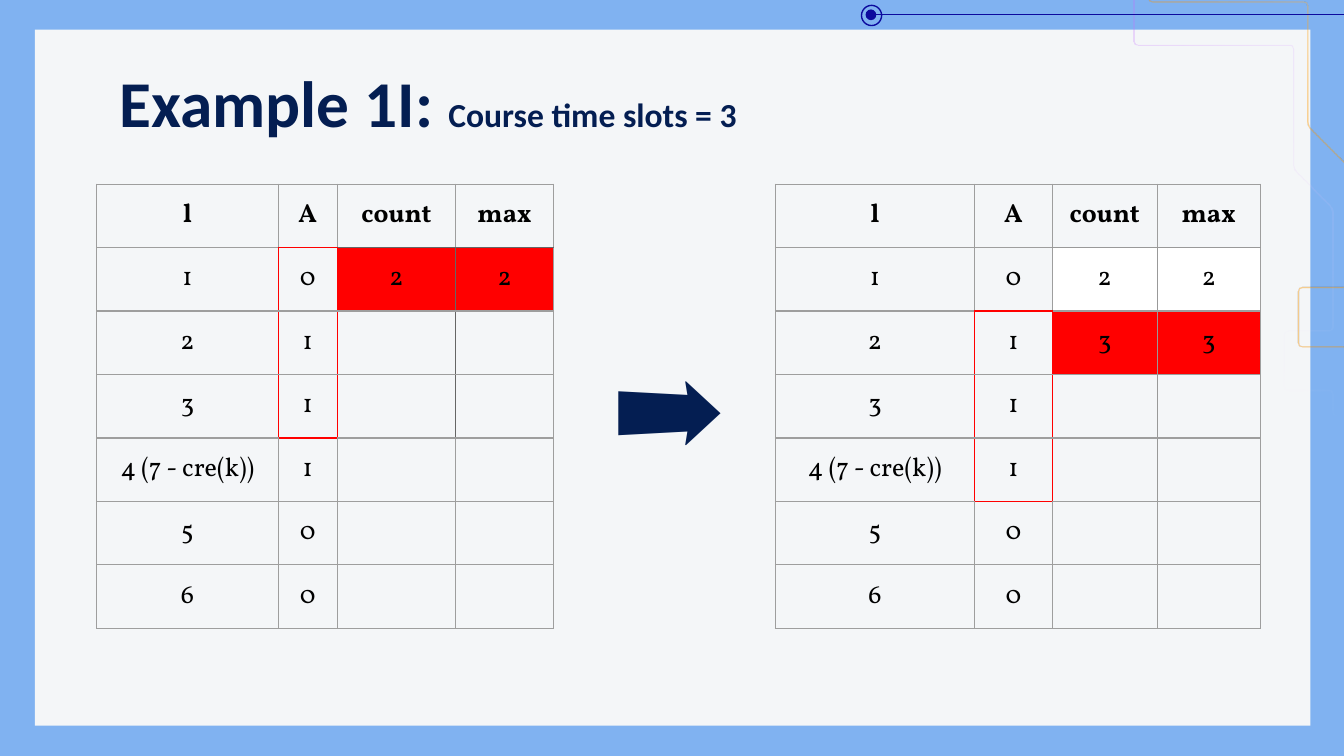
"""Build the slide that compares two steps of the course time slot example."""
import math

import lxml.etree
import pptx
import pptx.dml.color
import pptx.enum.shapes
import pptx.enum.text
import pptx.oxml
import pptx.oxml.ns
import pptx.util

Inches = pptx.util.Inches
Pt = pptx.util.Pt

THEME = {
    "background": "80B2F1", "panel": "F4F6F8", "navy": "041E52", "circuit": "0C0A9E",
    "black": "000000", "red": "FF0000", "white": "FFFFFF", "grid": "9E9E9E",
    "title_font": "Calibri", "table_font": "Vollkorn", "arrow_font": "Arial",
    "title_size": 35, "subtitle_size": 18, "table_size": 14, "arrow_size": 58,
    "line_width": 0.75,
}
TITLE = [("Example 1I: ", THEME["title_size"]), ("Course time slots = 3", THEME["subtitle_size"])]
HEADER = ("l", "A", "count", "max")
SLOTS = (("1", "0"), ("2", "1"), ("3", "1"), ("4 (7 - cre(k))", "1"), ("5", "0"), ("6", "0"))
STEPS = [
    {"left": 0.72, "columns": (1.35, 0.44, 0.88, 0.73), "window": (1, 3), "divider": "666666",
     "results": [("2", "2")], "fills": {1: THEME["red"]}},
    {"left": 5.77, "columns": (1.48, 0.58, 0.78, 0.77), "window": (2, 4), "divider": "999999",
     "results": [("2", "2"), ("3", "3")], "fills": {1: THEME["white"], 2: THEME["red"]}},
]
TABLE_TOP, ROW_HEIGHT, INSET = 1.37, 0.42, 0.1
TRACE = [(8.44, 0), (8.44, 0.34), (9.62, 0.34), (9.62, 1.26), (9.91, 1.55), (9.91, 2.46),
         (9.55, 2.46), (9.55, 2.9), (9.91, 2.9), (9.91, 3.09), (10.1, 3.09), (10.1, 3.16)]
TRACE_WIDTH, CORNER = 0.01, 0.03
TRACES = [
    {"offset": (0, 0), "angle": 45, "stops": [(0, "C46DFF", 27), (100, "FFFFFF", 0)]},
    {"offset": (0.11, -0.32), "angle": 315,
     "stops": [(0, "EB9109", 47), (65, "FF9900", 41), (100, "FFBD59", 27)]},
]


def color(name):
    return pptx.dml.color.RGBColor.from_string(name)


def add_shape(slide, kind, box, fill=None, line=None):
    shape = slide.shapes.add_shape(kind, *map(Inches, box))
    shape.shadow.inherit = False
    if fill:
        shape.fill.solid()
        shape.fill.fore_color.rgb = color(fill)
    else:
        shape.fill.background()
    if line:
        shape.line.color.rgb = color(line)
        shape.line.width = Pt(THEME["line_width"])
    else:
        shape.line.fill.background()


def rounded(points):
    path = [points[0]]
    for before, corner, after in zip(points, points[1:], points[2:]):
        ends = []
        for other in (before, after):
            share = CORNER / math.dist(corner, other)
            ends.append([c + (o - c) * share for c, o in zip(corner, other)])
        middle = [(a + b + 2 * c) / 4 for a, b, c in zip(*ends, corner)]
        path += [ends[0], middle, ends[1]]
    return path + [points[-1]]


def offset_side(path, distance):
    side = []
    for index, (x, y) in enumerate(path):
        start, end = path[max(index - 1, 0)], path[min(index + 1, len(path) - 1)]
        length = math.dist(start, end)
        side.append((x - (end[1] - start[1]) / length * distance,
                     y + (end[0] - start[0]) / length * distance))
    return side


def add_trace(slide, offset, angle, stops):
    path = rounded([(x + offset[0], y + offset[1]) for x, y in TRACE])
    outline = offset_side(path, TRACE_WIDTH / 2) + offset_side(path, -TRACE_WIDTH / 2)[::-1]
    points = [(Inches(x), Inches(y)) for x, y in outline]
    builder = slide.shapes.build_freeform(*points[0])
    builder.add_line_segments(points[1:], close=True)
    shape = builder.convert_to_shape()
    shape.shadow.inherit = False
    shape.line.fill.background()
    shape.fill.gradient()
    gradient = shape.element.spPr.find(pptx.oxml.ns.qn("a:gradFill"))
    stop_xml = "".join(
        f'<a:gs pos="{position * 1000}"><a:srgbClr val="{rgb}">'
        f'<a:alpha val="{alpha * 1000}"/></a:srgbClr></a:gs>' for position, rgb, alpha in stops)
    gradient.getparent().replace(gradient, pptx.oxml.parse_xml(
        f'<a:gradFill {pptx.oxml.ns.nsdecls("a")}><a:gsLst>{stop_xml}</a:gsLst>'
        f'<a:lin ang="{angle * 60000}" scaled="0"/></a:gradFill>'))


def set_insets(holder):
    holder.margin_left = holder.margin_right = Inches(INSET)
    holder.margin_top = holder.margin_bottom = Inches(INSET)


def format_run(run, font, size, rgb, bold=False):
    run.font.name = font
    run.font.size = Pt(size)
    run.font.color.rgb = color(rgb)
    run.font.bold = bold


def border_colors(row, column, step):
    first, last = step["window"]
    borders = dict.fromkeys("LRTB", THEME["grid"])
    if 1 <= row <= last and column in (2, 3):
        borders["R" if column == 2 else "L"] = step["divider"]
    if column >= 2 and row in (0, 1):
        borders["B" if row == 0 else "T"] = step["divider"]
    if first <= row <= last:
        for side in {0: "R", 1: "LR", 2: "L"}.get(column, ""):
            borders[side] = THEME["red"]
    if column == 1:
        if row in (first, last + 1):
            borders["T"] = THEME["red"]
        if row in (first - 1, last):
            borders["B"] = THEME["red"]
    return borders


def format_cell(cell, text, bold, fill, borders):
    properties = cell._tc.get_or_add_tcPr()
    for side, rgb in borders.items():
        properties.append(pptx.oxml.parse_xml(
            f'<a:ln{side} {pptx.oxml.ns.nsdecls("a")} w="{Pt(THEME["line_width"])}">'
            f'<a:solidFill><a:srgbClr val="{rgb}"/></a:solidFill></a:ln{side}>'))
    if fill:
        cell.fill.solid()
        cell.fill.fore_color.rgb = color(fill)
    else:
        cell.fill.background()
    if text:
        set_insets(cell)
        paragraph = cell.text_frame.paragraphs[0]
        paragraph.text = text
        paragraph.alignment = pptx.enum.text.PP_ALIGN.CENTER
        format_run(paragraph.runs[0], THEME["table_font"], THEME["table_size"],
                   THEME["black"], bold)


def add_step_table(slide, step):
    results = step["results"] + [("", "")] * (len(SLOTS) - len(step["results"]))
    rows = [HEADER] + [slot + result for slot, result in zip(SLOTS, results)]
    table = slide.shapes.add_table(
        len(rows), len(HEADER), Inches(step["left"]), Inches(TABLE_TOP),
        Inches(sum(step["columns"])), Inches(ROW_HEIGHT * len(rows))).table
    table.first_row = table.horz_banding = False
    for column, width in zip(table.columns, step["columns"]):
        column.width = Inches(width)
    for row, texts in enumerate(rows):
        table.rows[row].height = Inches(ROW_HEIGHT)
        for column, text in enumerate(texts):
            fill = step["fills"].get(row) if column >= 2 else None
            format_cell(table.cell(row, column), text, row == 0, fill,
                        border_colors(row, column, step))


def add_decoration(slide):
    shapes = pptx.enum.shapes.MSO_SHAPE
    add_shape(slide, shapes.RECTANGLE, (0.26, 0.22, 9.49, 5.18), fill=THEME["panel"])
    for trace in TRACES:
        add_trace(slide, **trace)
    add_shape(slide, shapes.OVAL, (6.41, 0.04, 0.15, 0.15), line=THEME["circuit"])
    connector = slide.shapes.add_connector(
        pptx.enum.shapes.MSO_CONNECTOR.STRAIGHT, *map(Inches, (10, 0.11, 6.52, 0.11)))
    connector.line.color.rgb = color(THEME["circuit"])
    connector.line.width = Pt(THEME["line_width"])
    lxml.etree.SubElement(connector.element.spPr, pptx.oxml.ns.qn("a:effectLst"))
    add_shape(slide, shapes.OVAL, (6.44, 0.07, 0.08, 0.08), fill=THEME["circuit"])


def add_text(shape, box, runs, font, bold):
    shape.left, shape.top, shape.width, shape.height = map(Inches, box)
    frame = shape.text_frame
    frame.word_wrap = True
    frame.auto_size = pptx.enum.text.MSO_AUTO_SIZE.NONE
    frame.vertical_anchor = pptx.enum.text.MSO_ANCHOR.TOP
    set_insets(frame)
    paragraph = frame.paragraphs[0]
    paragraph.alignment = pptx.enum.text.PP_ALIGN.LEFT
    for text, size in runs:
        run = paragraph.add_run()
        run.text = text
        format_run(run, font, size, THEME["navy"], bold)


def main():
    presentation = pptx.Presentation()
    presentation.slide_width = Inches(10)
    presentation.slide_height = presentation.slide_width * 9 // 16
    slide = presentation.slides.add_slide(presentation.slide_layouts[5])
    slide.background.fill.solid()
    slide.background.fill.fore_color.rgb = color(THEME["background"])
    add_decoration(slide)
    title = slide.shapes.title
    title.element.getparent().append(title.element)
    add_text(title, (0.79, 0.36, 8.43, 0.7), TITLE, THEME["title_font"], True)
    for step in STEPS:
        add_step_table(slide, step)
    arrow = slide.shapes.add_textbox(0, 0, 0, 0)
    add_text(arrow, (4.47, 2.4, 0.64, 0.7), [("➡", THEME["arrow_size"])],
             THEME["arrow_font"], False)
    presentation.save("out.pptx")


if __name__ == "__main__":
    main()
